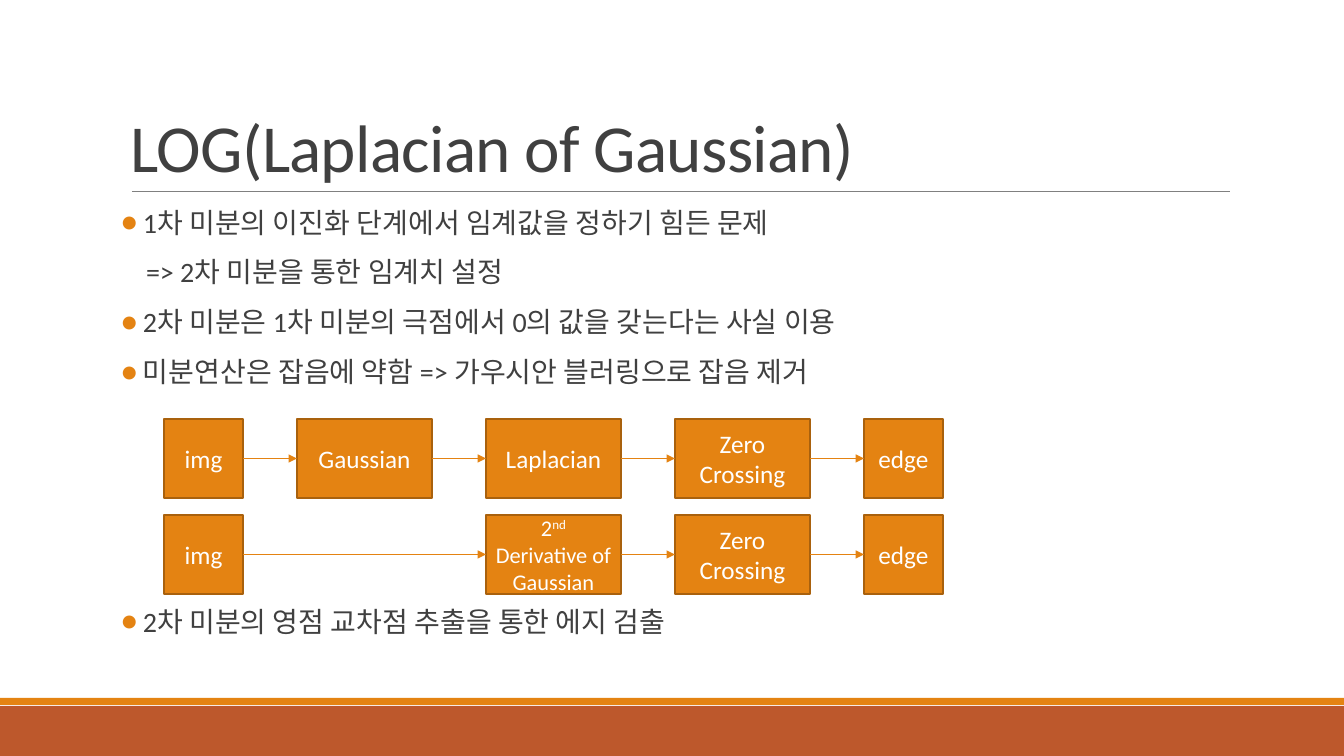
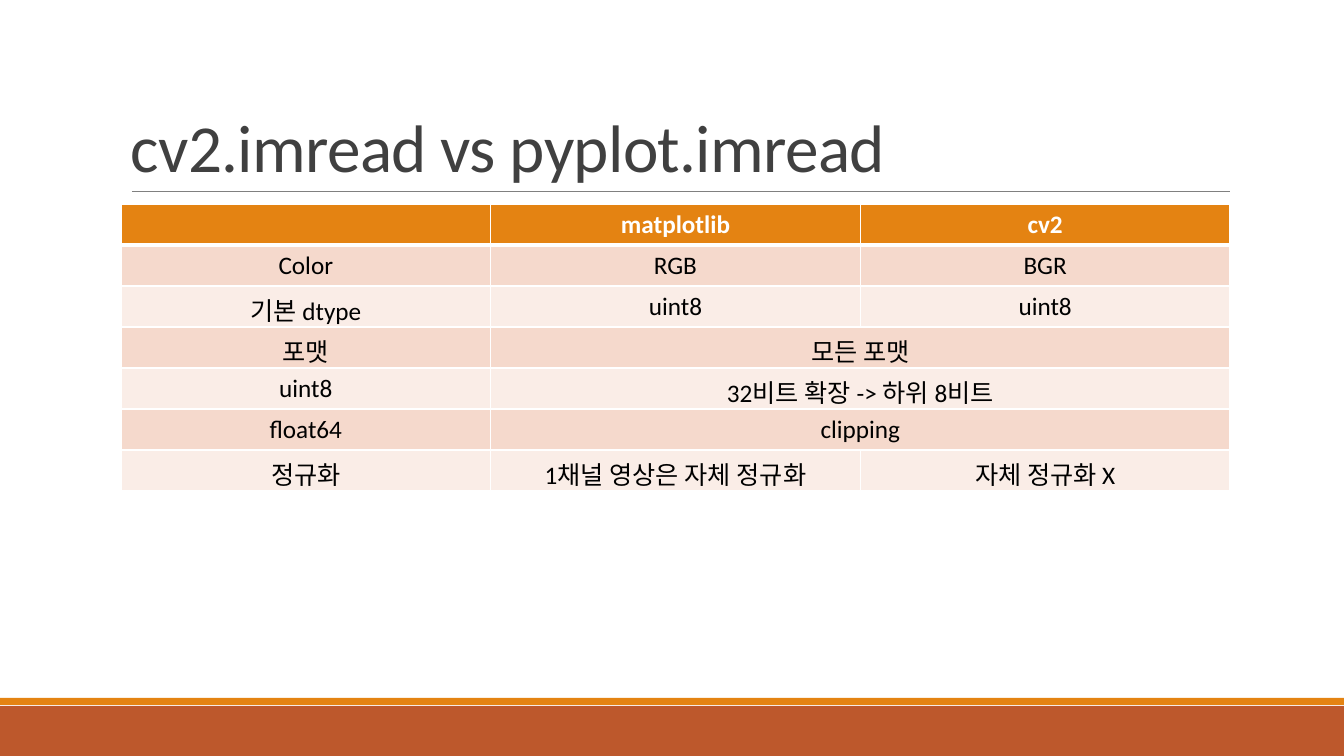
"""Build two slides on edge detection and image reading."""
from dataclasses import dataclass
from itertools import pairwise
from typing import NamedTuple

from lxml import etree
from pptx import Presentation
from pptx.dml.color import RGBColor
from pptx.enum.shapes import MSO_CONNECTOR, MSO_SHAPE
from pptx.enum.text import MSO_ANCHOR, PP_ALIGN
from pptx.oxml.ns import qn
from pptx.util import Emu, Pt

RECT = MSO_SHAPE.RECTANGLE
STRAIGHT = MSO_CONNECTOR.STRAIGHT
CENTER = PP_ALIGN.CENTER
MIDDLE, BOTTOM = MSO_ANCHOR.MIDDLE, MSO_ANCHOR.BOTTOM
LEFT_SIDE, RIGHT_SIDE = 1, 3
PX_PER_INCH = 100.8


@dataclass(frozen=True)
class Theme:
    """Colours, font and type sizes of the deck."""
    font: str = "Calibri"
    accent: str = "E48312"
    band: str = "BD582C"
    outline: str = "A9610D"
    rule: str = "808080"
    text: str = "404040"
    cell_text: str = "000000"
    white: str = "FFFFFF"
    row_dark: str = "F5D9CC"
    row_light: str = "FAEDE7"
    title_size: int = 48
    body_size: int = 20
    label_size: int = 18
    small_size: int = 16


class Box(NamedTuple):
    """A rectangle in px."""
    x: int
    y: int
    w: int
    h: int


class Line(NamedTuple):
    """A body line, with or without a bullet."""
    text: str
    bullet: bool = True


class Step(NamedTuple):
    """A step of the flow: its column, label runs and type size."""
    column: int
    runs: tuple[str, ...]
    size: int = 18


THEME = Theme()
SLIDE_W, SLIDE_H = 1344, 756
TITLE_BOX = Box(121, 31, 1109, 160)
INTRO_BOX = Box(121, 204, 1109, 200)
RESULT_BOX = Box(121, 603, 1109, 44)
TABLE_BOX = Box(121, 204, 1109, 287)
RULE_X, RULE_Y, RULE_W = 132, 191, 1098
BULLET_INDENT, PLAIN_INDENT = 22, 25

FLOW_LEFT, FLOW_TOP, FLOW_GAP = 164, 419, 54
STEP_H, ROW_PITCH = 79, 96
STEP_WIDTHS = (79, 135, 135, 135, 79)
FLOWS = (
    (Step(0, ("img",)), Step(1, ("Gaussian",)), Step(2, ("Laplacian",)),
     Step(3, ("Zero Crossing",)), Step(4, ("edge",))),
    (Step(0, ("img",)),
     Step(2, ("2", "nd", " Derivative of Gaussian"), THEME.small_size),
     Step(3, ("Zero Crossing",)), Step(4, ("edge",))),
)
INTRO = (
    Line("1차 미분의 이진화 단계에서 임계값을 정하기 힘든 문제"),
    Line("=> 2차 미분을 통한 임계치 설정", False),
    Line("2차 미분은 1차 미분의 극점에서 0의 값을 갖는다는 사실 이용"),
    Line("미분연산은 잡음에 약함 => 가우시안 블러링으로 잡음 제거"),
)
RESULT = (Line("2차 미분의 영점 교차점 추출을 통한 에지 검출"),)
ROWS = (
    ("", "matplotlib", "cv2"),
    ("Color", "RGB", "BGR"),
    ("기본 dtype", "uint8", "uint8"),
    ("포맷", "모든 포맷"),
    ("uint8", "32비트 확장 -> 하위 8비트"),
    ("float64", "clipping"),
    ("정규화", "1채널 영상은 자체 정규화", "자체 정규화 X"),
)


def px(n: int) -> Emu:
    """Turn px into EMU."""
    return Emu(round(n * 914400 / PX_PER_INCH))


def place(box: Box) -> tuple[Emu, ...]:
    """Give a box in EMU."""
    return tuple(px(n) for n in box)


def rgb(value: str) -> RGBColor:
    """Read a hex colour."""
    return RGBColor.from_string(value)


def style_runs(p, size: int, color: str, bold: bool = False) -> None:
    """Format every run of a paragraph."""
    for r in p.runs:
        r.font.name = THEME.font
        r.font.size = Pt(size)
        r.font.bold = bold
        r.font.color.rgb = rgb(color)


def add_rect(s, box: Box, fill: str, line: str | None = None):
    """Draw a filled rectangle."""
    sp = s.shapes.add_shape(RECT, *place(box))
    sp.shadow.inherit = False
    sp.fill.solid()
    sp.fill.fore_color.rgb = rgb(fill)
    if line:
        sp.line.color.rgb = rgb(line)
        sp.line.width = Pt(1.25)
    else:
        sp.line.fill.background()
    return sp


def add_line(s, start: tuple[int, int], end: tuple[int, int], color: str, width: float):
    """Draw a straight line without a shadow."""
    cx = s.shapes.add_connector(STRAIGHT, *(px(n) for n in start + end))
    cx.line.color.rgb = rgb(color)
    cx.line.width = Pt(width)
    etree.SubElement(cx._element.spPr, qn("a:effectLst"))
    return cx


def add_text_frame(s, box: Box):
    """Add a wrapping text box and give its frame."""
    tf = s.shapes.add_textbox(*place(box)).text_frame
    tf.word_wrap = True
    return tf


def add_slide(prs, title: str):
    """Add a slide with its bands, rule and title."""
    s = prs.slides.add_slide(prs.slide_layouts[6])
    add_rect(s, Box(0, 706, SLIDE_W, 50), THEME.band)
    add_rect(s, Box(0, 698, SLIDE_W, 7), THEME.accent)
    add_line(s, (RULE_X, RULE_Y), (RULE_X + RULE_W, RULE_Y), THEME.rule, 0.5)
    tf = add_text_frame(s, TITLE_BOX)
    tf.vertical_anchor = BOTTOM
    p = tf.paragraphs[0]
    p.text = title
    p.line_spacing = 0.85
    style_runs(p, THEME.title_size, THEME.text)
    for r in p.runs:
        r.font._element.set("spc", "-50")
    return s


def set_indent(p, line: Line) -> None:
    """Indent a body line and draw its bullet."""
    pPr = p._p.get_or_add_pPr()
    indent = px(BULLET_INDENT if line.bullet else PLAIN_INDENT)
    pPr.set("marL", str(indent))
    pPr.set("indent", str(-indent if line.bullet else 0))
    if line.bullet:
        color = etree.SubElement(pPr, qn("a:buClr"))
        etree.SubElement(color, qn("a:srgbClr"), val=THEME.accent)
        etree.SubElement(pPr, qn("a:buFont"), typeface=THEME.font)
        etree.SubElement(pPr, qn("a:buChar"), char="●")


def add_body(s, box: Box, lines: tuple[Line, ...]) -> None:
    """Write the body lines."""
    tf = add_text_frame(s, box)
    tf.margin_left = tf.margin_right = 0
    for i, line in enumerate(lines):
        p = tf.add_paragraph() if i else tf.paragraphs[0]
        p.text = line.text
        p.line_spacing = 0.9
        p.space_before, p.space_after = Pt(12), Pt(2)
        set_indent(p, line)
        style_runs(p, THEME.body_size, THEME.text)


def add_step(s, step: Step, top: int):
    """Draw one step of a flow."""
    x = FLOW_LEFT + sum(STEP_WIDTHS[:step.column]) + step.column * FLOW_GAP
    box = Box(x, top, STEP_WIDTHS[step.column], STEP_H)
    sp = add_rect(s, box, THEME.accent, THEME.outline)
    tf = sp.text_frame
    tf.word_wrap = True
    tf.vertical_anchor = MIDDLE
    p = tf.paragraphs[0]
    p.alignment = CENTER
    for i, text in enumerate(step.runs):
        r = p.add_run()
        r.text = text
        if i == 1:
            r.font._element.set("baseline", "30000")
    style_runs(p, step.size, THEME.white)
    return sp


def add_flow(s, steps: tuple[Step, ...], top: int) -> None:
    """Draw a row of steps joined by arrows."""
    boxes = [add_step(s, step, top) for step in steps]
    for source, target in pairwise(boxes):
        cx = add_line(s, (0, 0), (0, 0), THEME.accent, 1)
        cx.begin_connect(source, RIGHT_SIDE)
        cx.end_connect(target, LEFT_SIDE)
        ln = cx.line._get_or_add_ln()
        etree.SubElement(ln, qn("a:tailEnd"), type="triangle")


def style_cell(cell, row: int) -> None:
    """Set the borders, fill and text of a table cell."""
    header = row == 0
    tcPr = cell._tc.get_or_add_tcPr()
    for side in ("lnL", "lnR", "lnT", "lnB"):
        thick = (header and side == "lnB") or (row == 1 and side == "lnT")
        ln = etree.SubElement(tcPr, qn(f"a:{side}"), w=str(Pt(3 if thick else 1)))
        fill = etree.SubElement(ln, qn("a:solidFill"))
        etree.SubElement(fill, qn("a:srgbClr"), val=THEME.white)
    band = THEME.row_dark if row % 2 else THEME.row_light
    cell.fill.solid()
    cell.fill.fore_color.rgb = rgb(THEME.accent if header else band)
    p = cell.text_frame.paragraphs[0]
    p.alignment = CENTER
    style_runs(p, THEME.label_size, THEME.white if header else THEME.cell_text, header)


def add_comparison(s) -> None:
    """Draw the comparison table."""
    columns = len(ROWS[0])
    table = s.shapes.add_table(len(ROWS), columns, *place(TABLE_BOX)).table
    for i, texts in enumerate(ROWS):
        if len(texts) < columns:
            table.cell(i, len(texts) - 1).merge(table.cell(i, columns - 1))
        for j, text in enumerate(texts):
            table.cell(i, j).text = text
        for j in range(columns):
            style_cell(table.cell(i, j), i)


def main() -> None:
    """Build and save the deck."""
    prs = Presentation()
    prs.slide_width, prs.slide_height = px(SLIDE_W), px(SLIDE_H)
    s = add_slide(prs, "LOG(Laplacian of Gaussian)")
    add_body(s, INTRO_BOX, INTRO)
    for i, steps in enumerate(FLOWS):
        add_flow(s, steps, FLOW_TOP + i * ROW_PITCH)
    add_body(s, RESULT_BOX, RESULT)
    add_comparison(add_slide(prs, "cv2.imread vs pyplot.imread"))
    prs.save("out.pptx")


if __name__ == "__main__":
    main()
